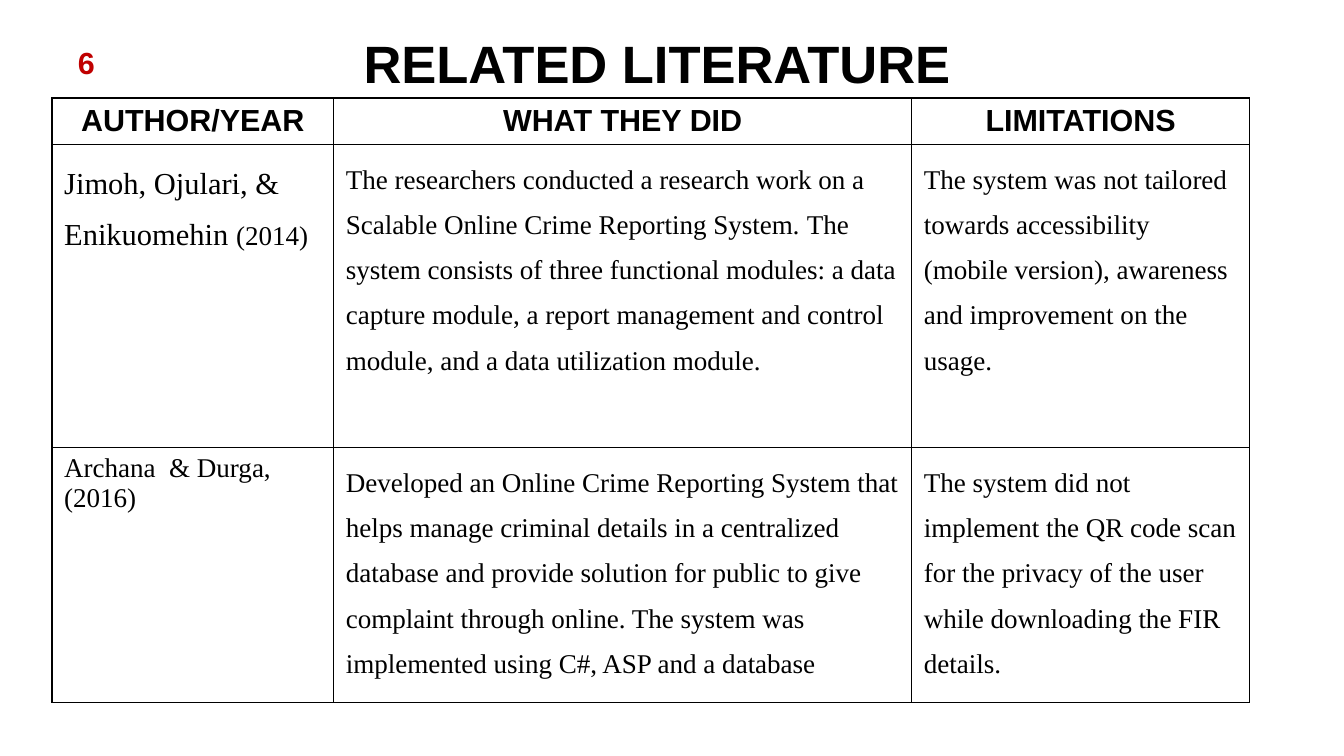
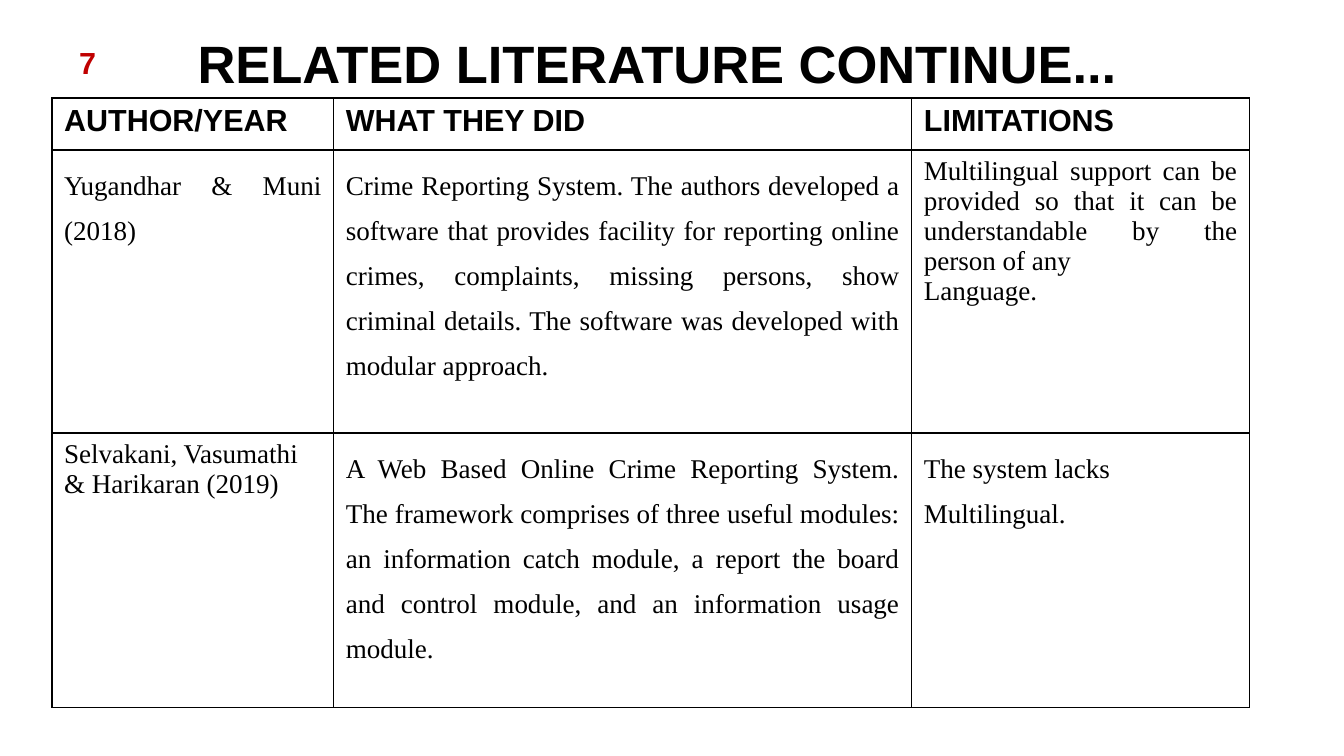
from lxml import etree
from pptx import Presentation
from pptx.dml.color import RGBColor
from pptx.enum import text as t
from pptx.oxml.ns import qn
from pptx.util import Pt

BLACK, WHITE, RED = "000000", "FFFFFF", "C00000"
SANS, SERIF = "Arial", "Times New Roman"
LEFT, MID, JUST = t.PP_ALIGN.LEFT, t.PP_ALIGN.CENTER, t.PP_ALIGN.JUSTIFY
COLS = [166.3, 341.3, 199.4]
HEADS = ["AUTHOR/YEAR", "WHAT THEY DID", "LIMITATIONS"]


def add_run(para, words, size, font=SANS, color=BLACK, bold=True):
    run = para.add_run()
    run.text = words
    run.font.size = Pt(size)
    run.font.name = font
    run.font.bold = bold
    run.font.color.rgb = RGBColor.from_string(color)
    return run


def frame_cell(cell):
    props = cell._tc.get_or_add_tcPr()
    for side in ("lnL", "lnR", "lnT", "lnB"):
        line = etree.SubElement(props, qn("a:" + side), w=str(Pt(1)))
        fill = etree.SubElement(line, qn("a:solidFill"))
        etree.SubElement(fill, qn("a:srgbClr"), val=BLACK)
    cell.fill.solid()
    cell.fill.fore_color.rgb = RGBColor.from_string(WHITE)


# Each body cell: alignment, line spacing, space after, paragraphs.
# Each paragraph is a list of runs: words, size, italic.
pages = [
    ("RELATED LITERATURE", "6", 38.9, MID, [27.3, 179, 150.5], [
        [(LEFT, 1.5, 0, [[("Jimoh, Ojulari, & Enikuomehin ", 18, False),
                          ("(2014)", 16, False)]]),
         (LEFT, 1.5, 10, [[
             ("The researchers conducted a research work on a Scalable "
              "Online Crime Reporting System", 16, False),
             (". ", 16, True),
             ("The system consists of three functional modules: a data "
              "capture module, a report management and control module, "
              "and a data utilization module.", 16, False)]]),
         (LEFT, 1.5, 0, [[
             ("The system was not tailored towards accessibility (mobile "
              "version), awareness and improvement on the usage.",
              16, False)]])],
        [(LEFT, 1, 0, [[("Archana  & Durga, (2016)", 16, False)]]),
         (LEFT, 1.5, 0, [[
             ("Developed an Online Crime Reporting System that helps manage "
              "criminal details in a centralized database and provide "
              "solution for public to give complaint through online. The "
              "system was implemented using C#, ASP and a database",
              16, False)]]),
         (LEFT, 1.5, 10, [[
             ("The system did not implement the QR code scan for the privacy "
              "of the user while downloading the FIR details.",
              16, False)]])],
    ]),
    ("RELATED LITERATURE CONTINUE...", "7", 39.6, JUST, [30.7, 167.3, 162], [
        [(JUST, 1.5, 0, [[("Yugandhar & Muni (2018)", 16, False)]]),
         (JUST, 1.5, 10, [[
             ("Crime Reporting System. The authors developed a software that "
              "provides facility for reporting online crimes, complaints, "
              "missing persons, show criminal details. The software was "
              "developed with modular approach. ", 16, False)]]),
         (JUST, 1, 0, [
             [("Multilingual support can be provided so that it can be "
               "understandable by the person of any", 16, False)],
             [("Language.", 16, False)]])],
        [(LEFT, 1, 0, [[("Selvakani, Vasumathi & Harikaran (2019)",
                         16, False)]]),
         (JUST, 1.5, 0, [[
             ("A Web Based Online Crime Reporting System. The framework "
              "comprises of three useful modules: an information catch "
              "module, a report the board and control module, and an "
              "information usage module.", 16, False)]]),
         (LEFT, 1.5, 10, [[("The system lacks Multilingual.", 16, False)]])],
    ]),
]

deck = Presentation()
deck.slide_width, deck.slide_height = Pt(793.44), Pt(446.4)

for name, num, num_x, head_al, rows, body in pages:
    slide = deck.slides.add_slide(deck.slide_layouts[5])

    # Title
    title = slide.shapes.title
    title.left, title.top = Pt(30.7), Pt(0)
    title.width, title.height = Pt(714.2), Pt(74.2)
    frame = title.text_frame
    frame.auto_size = t.MSO_AUTO_SIZE.NONE
    frame.word_wrap = True
    frame.vertical_anchor = t.MSO_ANCHOR.MIDDLE
    frame.margin_left = frame.margin_right = Pt(0)
    frame.margin_top = frame.margin_bottom = Pt(0)
    frame.paragraphs[0].alignment = MID
    add_run(frame.paragraphs[0], name, 31)

    # Table grid
    table = slide.shapes.add_table(
        len(rows), len(COLS), Pt(30.7), Pt(57.8),
        Pt(sum(COLS)), Pt(sum(rows))).table
    table.first_row = table.horz_banding = False
    for col, width in zip(table.columns, COLS):
        col.width = Pt(width)
    for row, height in zip(table.rows, rows):
        row.height = Pt(height)
    for cell in table.iter_cells():
        frame_cell(cell)

    # Table heads
    for c, head in enumerate(HEADS):
        para = table.cell(0, c).text_frame.paragraphs[0]
        para.alignment = head_al
        add_run(para, head, 18)

    # Table body
    for r, line in enumerate(body, 1):
        for c, (align, gap, after, paras) in enumerate(line):
            frame = table.cell(r, c).text_frame
            for i, runs in enumerate(paras):
                para = frame.add_paragraph() if i else frame.paragraphs[0]
                para.alignment = align
                para.line_spacing = gap
                para.space_after = Pt(after)
                for words, size, slant in runs:
                    run = add_run(para, words, size, SERIF, bold=False)
                    run.font.italic = slant

    # Page number
    box = slide.shapes.add_textbox(Pt(num_x), Pt(22.7), Pt(46.8), Pt(28.8))
    box.text_frame.word_wrap = True
    add_run(box.text_frame.paragraphs[0], num, 18, color=RED)

deck.save("out.pptx")
